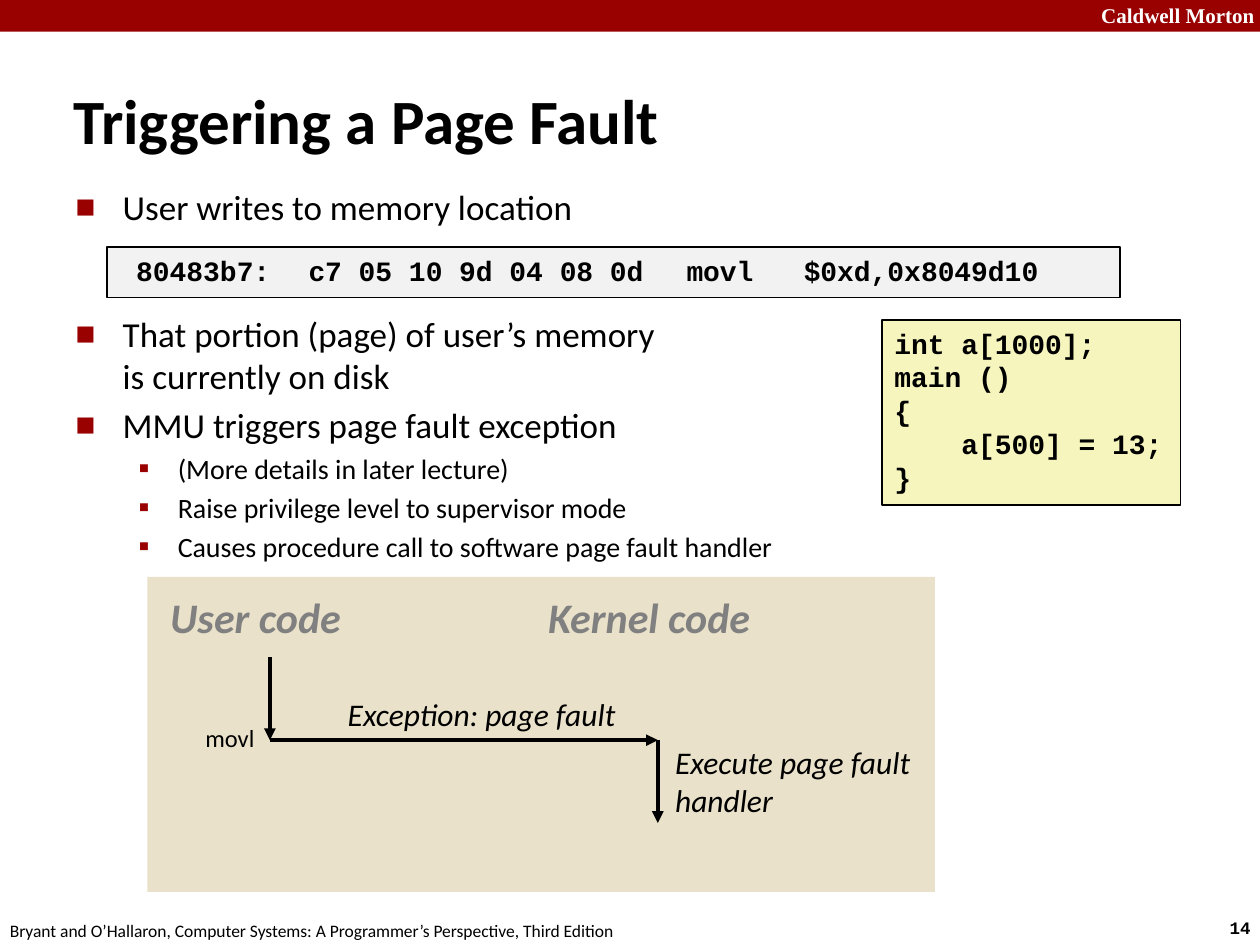
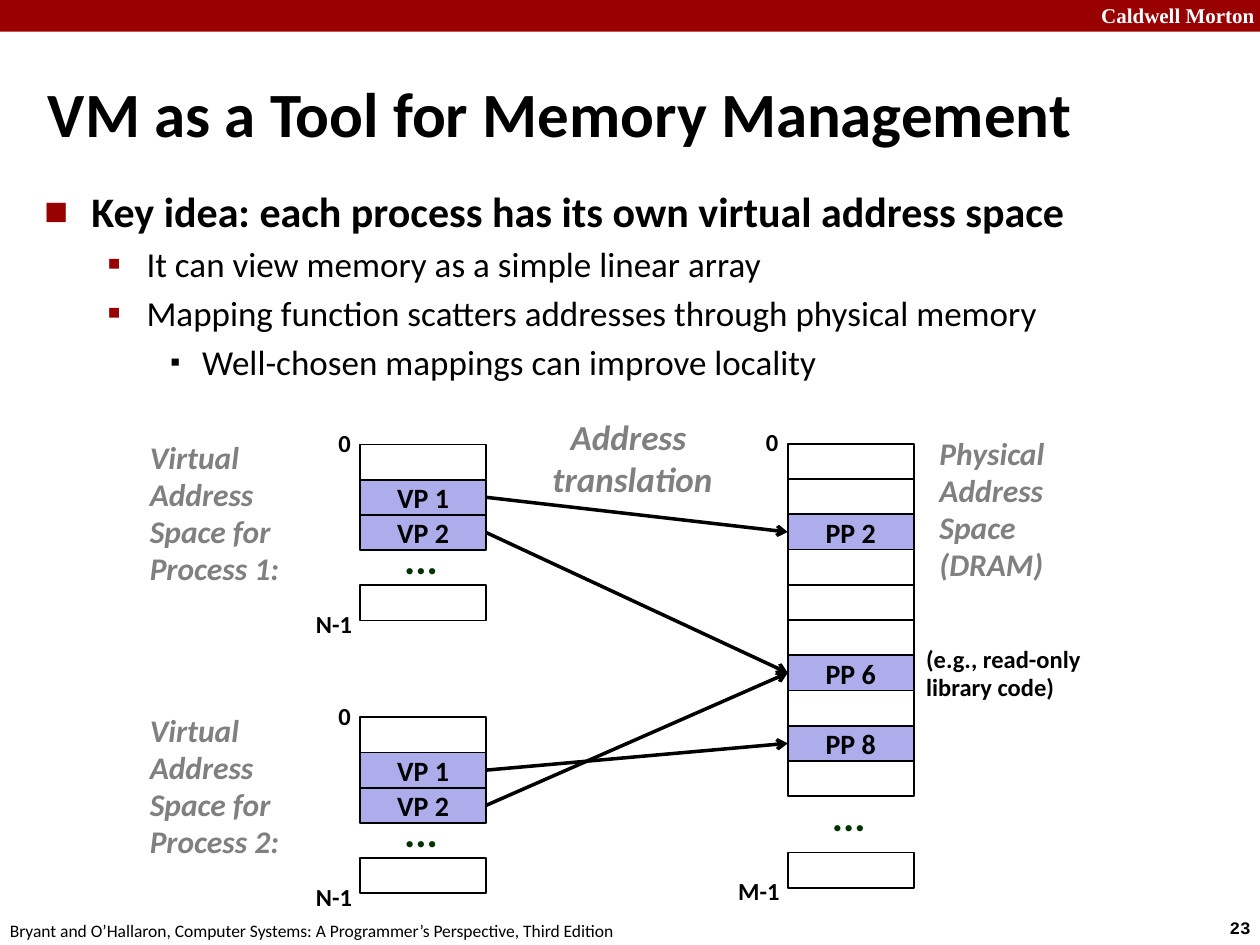
"""Build two lecture slides on page faults and virtual memory."""
import dataclasses
import typing

import lxml.etree
import pptx
import pptx.dml.color
import pptx.enum.shapes
import pptx.enum.text
import pptx.oxml.ns
import pptx.util

Cm = pptx.util.Cm
Pt = pptx.util.Pt
qn = pptx.oxml.ns.qn
ALIGN = pptx.enum.text.PP_ALIGN
ANCHOR = pptx.enum.text.MSO_ANCHOR
RECT = pptx.enum.shapes.MSO_SHAPE.RECTANGLE

COLORS = {
    "band": "990000", "white": "FFFFFF", "black": "000000", "gray": "808080",
    "code": "F6F5BD", "asm": "F2F2F2", "panel": "E9E1C9", "page": "ADADEB",
    "dots": "003300",
}
SANS, MONO, SERIF = "Calibri", "Courier New", "Times New Roman"
FOOTER = ("Bryant and O’Hallaron, Computer Systems: "
          "A Programmer’s Perspective, Third Edition")
PITCH = 0.71
CELL_W = 2.54


@dataclasses.dataclass
class Style:
    size: float
    color: str = "black"
    bold: bool = False
    italic: bool = False
    font: str = SANS
    align: typing.Any = ALIGN.LEFT
    spacing: typing.Optional[float] = None
    before: typing.Optional[float] = None


@dataclasses.dataclass
class Label:
    text: str
    box: tuple[float, float, float, float]
    style: Style
    wrap: bool = False


@dataclasses.dataclass
class Bullet:
    level: int
    text: str
    size: float
    bold: bool = False
    before: typing.Optional[float] = None


@dataclasses.dataclass
class BulletLevel:
    margin: float
    hang: float
    char: str
    percent: int
    color: str


@dataclasses.dataclass
class Column:
    left: float
    top: float
    pages: list[str]
    last_slot: float
    end_label: str
    end_width: float


LEVELS = [
    BulletLevel(0.95, 0.95, "■", 60, "band"),
    BulletLevel(2.06, 0.79, "▪", 110, "band"),
    BulletLevel(3.18, 0.64, "▪", 80, "black"),
]
TITLE = Style(36, bold=True)
CODE = Style(16, bold=True, font=MONO)
HEADING = Style(24, "gray", True, True)
EVENT = Style(18, italic=True)
SPACE = Style(18, "gray", True, True, spacing=0.98)
NOTE = Style(14, bold=True, spacing=0.98)
PAGE = Style(16, bold=True, align=ALIGN.CENTER)
DOTS = Style(24, "dots", True, spacing=0.88, before=9)
TRANSLATION = Style(20, "gray", True, True, align=ALIGN.CENTER)


def rgb(name: str) -> pptx.dml.color.RGBColor:
    """Return the named colour."""
    return pptx.dml.color.RGBColor.from_string(COLORS[name])


def add_run(p: typing.Any, text: str, style: Style) -> None:
    """Append one formatted run."""
    r = p.add_run()
    r.text = text
    r.font.size = Pt(style.size)
    r.font.name = style.font
    r.font.bold = style.bold
    r.font.italic = style.italic
    r.font.color.rgb = rgb(style.color)


def write(tf: typing.Any, text: str, style: Style) -> None:
    """Write each line of the text as a paragraph."""
    for i, line in enumerate(text.split("\n")):
        p = tf.add_paragraph() if i else tf.paragraphs[0]
        p.alignment = style.align
        if style.spacing:
            p.line_spacing = style.spacing
        if style.before:
            p.space_before = Pt(style.before)
        add_run(p, line, style)


def add_label(shapes: typing.Any, label: Label) -> None:
    """Add a text box."""
    tf = shapes.add_textbox(*map(Cm, label.box)).text_frame
    tf.word_wrap = label.wrap
    write(tf, label.text, label.style)


def add_rect(shapes: typing.Any, box: tuple[float, ...],
             fill: typing.Optional[str], outlined: bool = True) -> typing.Any:
    """Add a flat rectangle."""
    sp = shapes.add_shape(RECT, *map(Cm, box))
    sp.shadow.inherit = False
    if fill:
        sp.fill.solid()
        sp.fill.fore_color.rgb = rgb(fill)
    else:
        sp.fill.background()
    if outlined:
        sp.line.color.rgb = rgb("black")
        sp.line.width = Pt(1)
    else:
        sp.line.fill.background()
    return sp


def add_code(shapes: typing.Any, label: Label, fill: str) -> None:
    """Add a framed code listing."""
    tf = add_rect(shapes, label.box, fill).text_frame
    tf.word_wrap = label.wrap
    tf.vertical_anchor = ANCHOR.TOP
    write(tf, label.text, label.style)


def add_arrow(shapes: typing.Any, points: tuple[float, ...],
              width: float, head: str) -> typing.Any:
    """Add a straight arrow."""
    cn = shapes.add_connector(pptx.enum.shapes.MSO_CONNECTOR.STRAIGHT,
                              *map(Cm, points))
    cn.line.color.rgb = rgb("black")
    cn.line.width = Pt(width)
    lxml.etree.SubElement(cn.get_or_add_ln(), qn("a:tailEnd"), type=head)
    lxml.etree.SubElement(cn.element.spPr, qn("a:effectLst"))
    return cn


def place(sp: typing.Any, box: tuple[float, ...]) -> typing.Any:
    """Move a placeholder and return its text frame."""
    sp.left, sp.top, sp.width, sp.height = map(Cm, box)
    sp.text_frame.auto_size = pptx.enum.text.MSO_AUTO_SIZE.NONE
    sp.text_frame.word_wrap = True
    return sp.text_frame


def add_bullet(p: typing.Any, bullet: Bullet) -> None:
    """Format one list paragraph and write its text."""
    level = LEVELS[bullet.level]
    p.level = bullet.level
    if bullet.before:
        p.space_before = Pt(bullet.before)
    pPr = p._p.get_or_add_pPr()
    pPr.set("marL", str(Cm(level.margin)))
    pPr.set("indent", str(-Cm(level.hang)))
    clr = lxml.etree.SubElement(pPr, qn("a:buClr"))
    lxml.etree.SubElement(clr, qn("a:srgbClr"), val=COLORS[level.color])
    lxml.etree.SubElement(pPr, qn("a:buSzPct"), val=str(level.percent * 1000))
    lxml.etree.SubElement(pPr, qn("a:buFont"), typeface=SANS)
    lxml.etree.SubElement(pPr, qn("a:buChar"), char=level.char)
    for i, line in enumerate(bullet.text.split("\n")):
        if i:
            p.add_line_break()
        add_run(p, line, Style(bullet.size, bold=bullet.bold))


def new_slide(prs: typing.Any, number: int, title: str,
              title_box: tuple[float, ...], body_box: tuple[float, ...],
              bullets: list[Bullet]) -> typing.Any:
    """Add a slide with its band, footer, title and list."""
    s = prs.slides.add_slide(prs.slide_layouts[1])
    add_rect(s.shapes, (0, 0, 25.4, 0.64), "band", outlined=False)
    for label in (
        Label("Caldwell Morton", (21.95, -0.08, 3.63, 0.76),
              Style(12, "white", True, font=SERIF)),
        Label(str(number), (24.54, 18.36, 1.14, 0.69),
              Style(10, bold=True, font=MONO)),
        Label(FOOTER, (-0.05, 18.42, 12.9, 0.69), Style(10)),
    ):
        add_label(s.shapes, label)
    tf = place(s.shapes.title, title_box)
    tf.vertical_anchor = ANCHOR.MIDDLE
    write(tf, title, TITLE)
    tf = place(s.placeholders[1], body_box)
    for i, bullet in enumerate(bullets):
        add_bullet(tf.add_paragraph() if i else tf.paragraphs[0], bullet)
    return s


def add_column(shapes: typing.Any, col: Column) -> dict[str, typing.Any]:
    """Draw an address space and return its named pages."""
    cells = {}
    slots = [*enumerate(col.pages), (col.last_slot, "")]
    for slot, page in slots:
        box = (col.left, col.top + slot * PITCH, CELL_W, PITCH)
        sp = add_rect(shapes, box, "page" if page else None)
        if page:
            sp.text_frame.vertical_anchor = ANCHOR.MIDDLE
            write(sp.text_frame, page, PAGE)
            cells[page] = sp
    edge = col.left + 0.1
    last = col.top + col.last_slot * PITCH
    gap_mid = col.top + (len(col.pages) + col.last_slot) / 2 * PITCH
    add_label(shapes, Label("0", (edge - 0.79, col.top - 0.43, 0.79, 0.84), NOTE))
    add_label(shapes, Label(col.end_label, (edge - col.end_width, last + 0.38,
                                            col.end_width, 0.84), NOTE))
    add_label(shapes, Label("...", (col.left + 0.64, gap_mid - 0.7, 1.19, 1.14),
                            DOTS))
    return cells


def page_fault_slide(prs: typing.Any) -> None:
    """Build the page fault slide."""
    s = new_slide(
        prs, 14, "Triggering a Page Fault",
        (1.22, 1.63, 21.92, 1.55), (1.27, 3.61, 22.66, 2.97),
        [Bullet(0, "User writes to memory location", 20),
         Bullet(0, "That portion (page) of user’s memory \nis currently on disk",
                20, before=48.8),
         Bullet(0, "MMU triggers page fault exception", 20),
         Bullet(1, "(More details in later lecture)", 16),
         Bullet(1, "Raise privilege level to supervisor mode", 16),
         Bullet(1, "Causes procedure call to software page fault handler", 16)])
    add_code(s.shapes, Label("int a[1000];\nmain ()\n{\n    a[500] = 13;\n}",
                             (17.78, 6.45, 6.02, 3.73), CODE), "code")
    add_code(s.shapes, Label(
        " 80483b7:\tc7 05 10 9d 04 08 0d \tmovl   $0xd,0x8049d10",
        (2.16, 4.98, 20.42, 1.02), CODE), "asm")
    flow = s.shapes.add_group_shape().shapes
    add_rect(flow, (2.97, 11.63, 15.88, 6.35), "panel", outlined=False)
    user_x, kernel_x, fault_y, leg = 5.44, 13.26, 14.92, 1.67
    for points in ((user_x, fault_y - leg, user_x, fault_y),
                   (user_x, fault_y, kernel_x, fault_y),
                   (kernel_x, fault_y, kernel_x, fault_y + leg)):
        add_arrow(flow, points, 2.25, "triangle")
    for label in (
        Label("User code", (3.18, 11.79, 4.19, 1.27), HEADING),
        Label("Kernel code", (10.8, 11.79, 4.85, 1.27), HEADING),
        Label("Exception: page fault", (6.76, 13.89, 6.15, 1.02), EVENT),
        Label("Execute page fault handler", (13.36, 14.86, 5.49, 1.78), EVENT, True),
        Label("movl", (3.89, 14.45, 1.52, 0.86), Style(14)),
    ):
        add_label(flow, label)


def memory_slide(prs: typing.Any) -> None:
    """Build the memory management slide."""
    s = new_slide(
        prs, 23, "VM as a Tool for Memory Management",
        (0.71, 1.47, 23.93, 1.6), (0.64, 3.61, 21.82, 3.51),
        [Bullet(0, "Key idea: each process has its own virtual address space",
                24, True),
         Bullet(1, "It can view memory as a simple linear array", 20),
         Bullet(1, "Mapping function scatters addresses through physical memory",
                20),
         Bullet(2, "Well-chosen mappings can improve locality", 20)])
    frames = ["", "", "PP 2", "", "", "", "PP 6", "", "PP 8", ""]
    physical = add_column(s.shapes, Column(15.88, 8.95, frames, 11.6, "M-1", 1.35))
    mappings = [{"VP 1": "PP 2", "VP 2": "PP 6"},
                {"VP 1": "PP 8", "VP 2": "PP 6"}]
    for i, mapping in enumerate(mappings):
        top = 8.96 + i * 5.5
        virtual = add_column(s.shapes, Column(7.26, top, ["", *mapping], 4,
                                              "N-1", 1.24))
        add_label(s.shapes, Label(f"Virtual Address Space for Process {i + 1}:",
                                  (2.77, top - 0.22, 3.81, 3.25), SPACE, True))
        for source, target in mapping.items():
            cn = add_arrow(s.shapes, (0, 0, 1, 1), 2, "arrow")
            cn.begin_connect(virtual[source], 3)
            cn.end_connect(physical[target], 1)
    for label in (
        Label("Physical \nAddress \nSpace (DRAM)", (18.69, 8.66, 2.97, 3.28),
              SPACE, True),
        Label("(e.g., read-only \nlibrary code)", (18.42, 12.88, 4.04, 1.42),
              NOTE, True),
        Label("Address \ntranslation", (10.87, 8.26, 3.76, 1.96), TRANSLATION),
    ):
        add_label(s.shapes, label)


prs = pptx.Presentation()
prs.slide_width, prs.slide_height = Cm(25.4), Cm(19.05)
page_fault_slide(prs)
memory_slide(prs)
prs.save("out.pptx")
